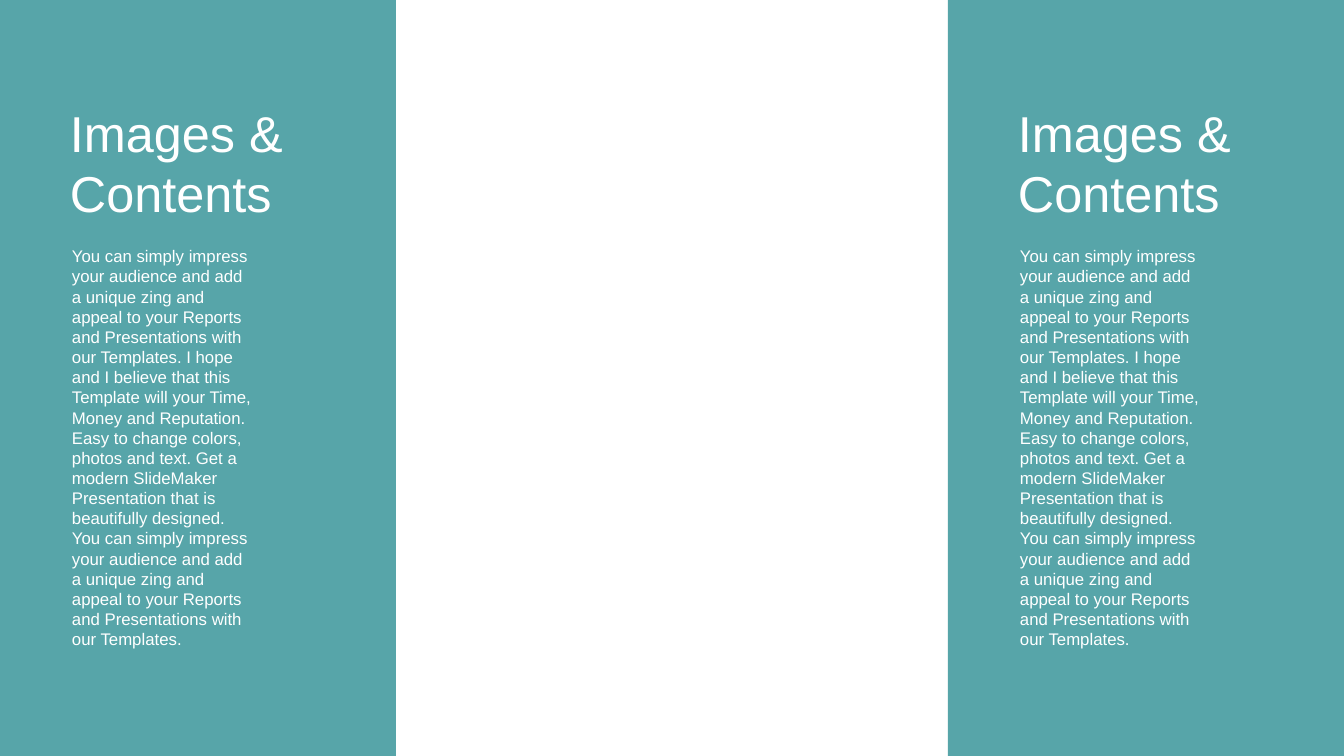
from pptx import Presentation
from pptx.dml.color import RGBColor
from pptx.enum.shapes import MSO_SHAPE as Shape
from pptx.enum.text import MSO_AUTO_SIZE as AutoSize
from pptx.oxml.ns import qn
from pptx.util import Pt
from lxml.etree import SubElement

EMU_PER_PX = 914400 / 100.8
COLORS = {"panel": "1F878D", "text": "FFFFFF"}
PAGE_WIDTH, PAGE_HEIGHT = 1344, 756
PANEL_WIDTH = 396
TEXT_INDENT = 60

IMPRESS = (
    "You can simply impress your audience and add a unique zing and appeal "
    "to your Reports and Presentations with our Templates."
)
BODY = (
    f"{IMPRESS} I hope and I believe that this Template will your Time, Money "
    "and Reputation. Easy to change colors, photos and text. Get a modern "
    f"SlideMaker Presentation that is beautifully designed. {IMPRESS}"
)


def px(length):
    return round(length * EMU_PER_PX)


def add_text(left, top, width, height, side_inset, size, lines):
    box = page.shapes.add_textbox(px(left), px(top), px(width), px(height))
    frame = box.text_frame
    frame.word_wrap = True
    frame.auto_size = AutoSize.SHAPE_TO_FIT_TEXT
    frame.margin_left = frame.margin_right = px(side_inset)
    frame.margin_top = frame.margin_bottom = px(5)
    para = frame.paragraphs[0]
    for index, line in enumerate(lines):
        if index:
            para.add_line_break()
        span = para.add_run()
        span.text = line
        span.font.name = "Arial"
        span.font.size = Pt(size)
        span.font.color.rgb = RGBColor.from_string(COLORS["text"])


deck = Presentation()
deck.slide_width, deck.slide_height = px(PAGE_WIDTH), px(PAGE_HEIGHT)
page = deck.slides.add_slide(deck.slide_layouts[6])

for panel_left in (0, PAGE_WIDTH - PANEL_WIDTH):
    panel = page.shapes.add_shape(
        Shape.RECTANGLE, px(panel_left), 0, px(PANEL_WIDTH), px(PAGE_HEIGHT)
    )
    panel.shadow.inherit = False
    panel.line.fill.background()
    panel.fill.solid()
    panel.fill.fore_color.rgb = RGBColor.from_string(COLORS["panel"])
    fill_color = panel.element.spPr.find(qn("a:solidFill"))[0]
    SubElement(fill_color, qn("a:alpha"), val="75000")

    text_left = panel_left + TEXT_INDENT
    add_text(text_left, 241, 207, 417, 12, 12, [BODY])
    add_text(text_left, 97, 275, 132, 10, 36, ["Images &", "Contents"])

deck.save("out.pptx")
